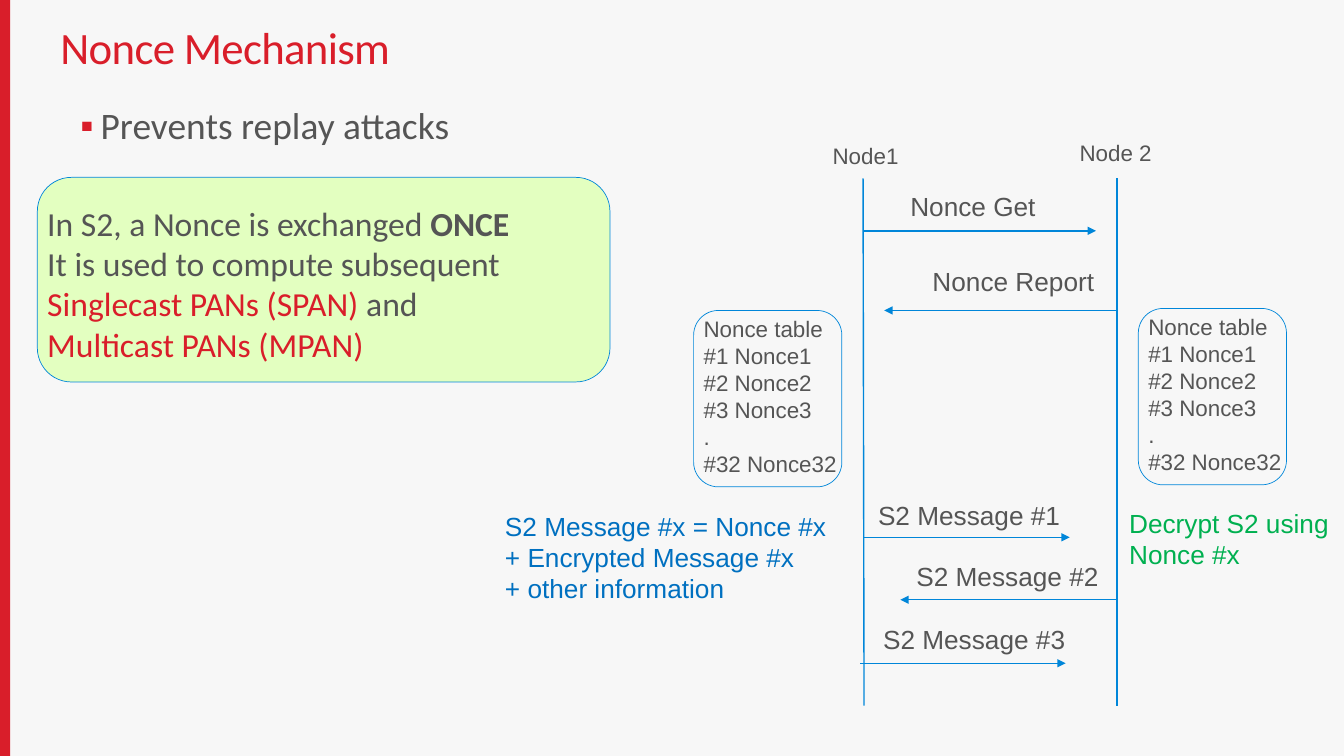
import pptx
import pptx.util
import pptx.dml.color
import pptx.enum.shapes
import pptx.enum.text
import pptx.oxml
import pptx.oxml.ns

RGBColor = pptx.dml.color.RGBColor
Pt = pptx.util.Pt
Shape = pptx.enum.shapes.MSO_SHAPE
Anchor = pptx.enum.text.MSO_ANCHOR
Fit = pptx.enum.text.MSO_AUTO_SIZE

RED = RGBColor(0xD9, 0x1E, 0x2A)
GREY = RGBColor(0x55, 0x55, 0x55)
LINE = RGBColor(0x00, 0x86, 0xD9)
BLUE = RGBColor(0x00, 0x70, 0xC0)
GREEN = RGBColor(0x00, 0xB0, 0x50)
LIME = RGBColor(0xE3, 0xFF, 0xC0)
PALE = RGBColor(0xF7, 0xF7, 0xF7)

deck = pptx.Presentation()
deck.slide_width = pptx.util.Inches(13.33)
deck.slide_height = pptx.util.Inches(7.5)
CELL = deck.slide_height / 7.5  # the grid has 7.5 rows of square cells
slide = deck.slides.add_slide(deck.slide_layouts[5])
slide.background.fill.solid()
slide.background.fill.fore_color.rgb = PALE


def grid(*cells):
    return [round(cell * CELL) for cell in cells]


def write(spot, rows, size, color=GREY, face="Arial", wrap=False):
    """Add a text box; each row is a list of (text, format) runs or a string."""
    frame = slide.shapes.add_textbox(*grid(*spot)).text_frame
    frame.word_wrap = wrap
    frame.auto_size = Fit.SHAPE_TO_FIT_TEXT
    for i, row in enumerate(rows):
        para = frame.paragraphs[0] if i == 0 else frame.add_paragraph()
        for text, extra in [(row, {})] if isinstance(row, str) else row:
            run = para.add_run()
            run.text = text
            look = {"name": face, "size": Pt(size), "bold": False, **extra}
            run.font.color.rgb = look.pop("color", color)
            for key, value in look.items():
                setattr(run.font, key, value)
    return frame


# Red bar at the left edge
bar = slide.shapes.add_shape(Shape.RECTANGLE, *grid(0, 0, 0.1, 7.5))
bar.shadow.inherit = False
bar.fill.solid()
bar.fill.fore_color.rgb = RED
bar.line.fill.background()

# Title
title = slide.shapes.title
title.left, title.top, title.width, title.height = grid(0.5, 0, 12.33, 1)
title.text_frame.text = "Nonce Mechanism"
title.text_frame.vertical_anchor = Anchor.MIDDLE
head = title.text_frame.paragraphs[0]
head.alignment = pptx.enum.text.PP_ALIGN.LEFT
head.line_spacing = 0.9
font = head.runs[0].font
for key, value in {"name": "Calibri", "size": Pt(32), "bold": False}.items():
    setattr(font, key, value)
font.color.rgb = RED
head.runs[0]._r.get_or_add_rPr().set("spc", "-50")

# Bullet
point = write((0.5, 1, 12.33, 0.6), ["Prevents replay attacks"], 26.7,
              face="Calibri", wrap=True).paragraphs[0]
point.line_spacing = 0.95
props = point._p.get_or_add_pPr()
props.set("marL", str(grid(0.4)[0]))
props.set("indent", str(grid(-0.2)[0]))
space = pptx.oxml.ns.nsdecls("a")
for xml in (f'<a:buClr {space}><a:srgbClr val="{RED}"/></a:buClr>',
            f'<a:buFont {space} typeface="Arial"/>',
            f'<a:buChar {space} char="▪"/>'):
    props.append(pptx.oxml.parse_xml(xml))

# Rounded frames: the green box and one nonce table beside each node
TABLES = [(6.88, 3.08), (11.29, 3.06)]
frames = [((0.37, 1.76, 5.68, 2.03), LIME)]
frames += [((x, y, 1.47, 1.75), None) for x, y in TABLES]
for spot, fill in frames:
    box = slide.shapes.add_shape(Shape.ROUNDED_RECTANGLE, *grid(*spot))
    box.shadow.inherit = False
    box.line.color.rgb = LINE
    box.line.width = Pt(0.5)
    if fill:
        box.fill.solid()
        box.fill.fore_color.rgb = fill
    else:
        box.fill.background()

write((0.37, 1.96, 5.68, 1.72), [
    [("In S2, a Nonce is exchanged ", {}), ("ONCE", {"bold": True})],
    "It is used to compute subsequent",
    [("Singlecast PANs (SPAN) ", {"color": RED}), ("and", {})],
    [("Multicast PANs (MPAN)", {"color": RED})],
], 24, face="Calibri", wrap=True)

nonces = [f"#{n} Nonce{n}" for n in (1, 2, 3)]
for x, y in TABLES:
    write((x, y, 1.65, 1.72), ["Nonce table", *nonces, ".", "#32 Nonce32"],
          16, wrap=True)

# Life lines and message arrows: from, to, arrowhead
NODE1, NODE2 = 8.56, 11.08
lines = [
    (NODE1, 1.77, 8.57, 7, False),
    (NODE2, 1.77, NODE2, 7, False),
    (NODE1, 2.29, 10.87, 2.29, True),
    (NODE2, 3.08, 8.77, 3.08, True),
    (8.57, 5.33, 10.61, 5.33, True),
    (NODE2, 5.95, 8.93, 5.95, True),
    (8.53, 6.58, 10.57, 6.58, True),
]
for *ends, arrow in lines:
    wire = slide.shapes.add_connector(
        pptx.enum.shapes.MSO_CONNECTOR.STRAIGHT, *grid(*ends))
    wire.line.color.rgb = LINE
    wire.line.width = Pt(1)
    if arrow:
        wire.line._get_or_add_ln().append(
            pptx.oxml.parse_xml(f'<a:tailEnd {space} type="triangle"/>'))
    wire._element.spPr.append(pptx.oxml.parse_xml(f"<a:effectLst {space}/>"))

# Node names, message names and side notes
labels = [
    ((8.16, 1.36, 0.87, 0.37), ["Node1"], 16, GREY),
    ((10.61, 1.33, 0.93, 0.37), ["Node 2"], 16, GREY),
    ((8.93, 1.84, 1.46, 0.42), ["Nonce Get"], 18.7, GREY),
    ((9.15, 2.58, 1.84, 0.42), ["Nonce Report"], 18.7, GREY),
    ((8.61, 4.9, 2.02, 0.42), ["S2 Message #1"], 18.7, GREY),
    ((8.99, 5.51, 2.02, 0.42), ["S2 Message #2"], 18.7, GREY),
    ((8.66, 6.13, 2.02, 0.42), ["S2 Message #3"], 18.7, GREY),
    ((4.91, 5.01, 3.51, 1.04), ["S2 Message #x = Nonce #x",
     "+ Encrypted Message #x", "+ other information"], 18.7, BLUE),
    ((11.1, 4.98, 2.22, 0.73), ["Decrypt S2 using", "Nonce #x"], 18.7, GREEN),
]
for label in labels:
    write(*label)

deck.save("out.pptx")
